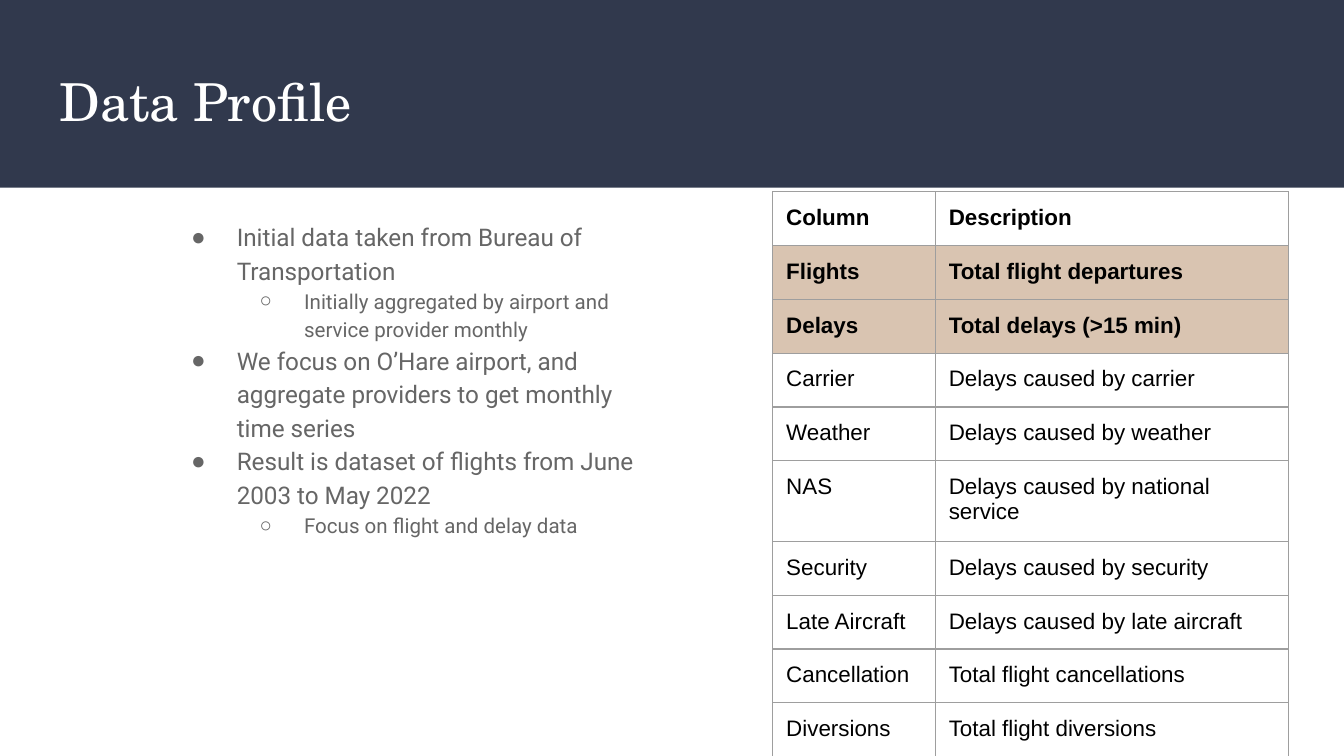
from lxml.etree import SubElement
from pptx import Presentation
from pptx.dml.color import RGBColor
from pptx.enum.shapes import MSO_SHAPE as Shape
from pptx.enum.text import MSO_ANCHOR as Anchor
from pptx.oxml import parse_xml
from pptx.oxml.ns import nsdecls, qn
from pptx.util import Pt

# Content
TITLE = "Data Profile"
BULLETS = [
    (0, "Initial data taken from Bureau of Transportation"),
    (1, "Initially aggregated by airport and service provider monthly"),
    (0, "We focus on O’Hare airport, and aggregate providers to get monthly time series"),
    (0, "Result is dataset of flights from June 2003 to May 2022"),
    (1, "Focus on flight and delay data"),
]
ROWS = [
    ("Column", "Description"),
    ("Flights", "Total flight departures"),
    ("Delays", "Total delays (>15 min)"),
    ("Carrier", "Delays caused by carrier"),
    ("Weather", "Delays caused by weather"),
    ("NAS", "Delays caused by national service"),
    ("Security", "Delays caused by security"),
    ("Late Aircraft", "Delays caused by late aircraft"),
    ("Cancellation", "Total flight cancellations"),
    ("Diversions", "Total flight diversions"),
]
BOLD_ROWS = 3
SHADED_ROWS = (1, 2)

# Style
NAVY, WHITE, GREY, BLACK = "31394D", "FFFFFF", "666666", "000000"
TAN, BORDER = "D9C4B1", "9E9E9E"
LEVELS = [  # bullet, text size, left indent, hanging indent
    ("●", 13, 36, -24.5),
    ("○", 11, 72, -23.8),
]
INSET = 7.2
COLUMN_WIDTHS = (87.1, 189.2)
ROW_HEIGHT = 28
TABLE_HEIGHT = 236  # below the sum of the rows, so that rows fit their text


def color(value):
    return RGBColor.from_string(value)


def add_text(para, text, *, font, size, fill, bold=False):
    span = para.add_run()
    span.text = text
    span.font.name = font
    span.font.size = Pt(size)
    span.font.bold = bold
    span.font.color.rgb = color(fill)


def set_insets(target):
    target.margin_left = target.margin_right = Pt(INSET)
    target.margin_top = target.margin_bottom = Pt(INSET)


def add_box(page, left, top, width, height, anchor):
    box = page.shapes.add_textbox(Pt(left), Pt(top), Pt(width), Pt(height))
    frame = box.text_frame
    frame.word_wrap = True
    frame.vertical_anchor = anchor
    set_insets(frame)
    return frame


def set_bullet(para, mark, left, hanging):
    props = para._p.get_or_add_pPr()
    props.set("marL", str(Pt(left)))
    props.set("indent", str(Pt(hanging)))
    tint = SubElement(props, qn("a:buClr"))
    SubElement(tint, qn("a:srgbClr"), val=GREY)
    SubElement(props, qn("a:buFont"), typeface="Arial")
    SubElement(props, qn("a:buChar"), char=mark)


def set_borders(cell):
    props = cell._tc.get_or_add_tcPr()
    for position, side in enumerate(("lnL", "lnR", "lnT", "lnB")):
        props.insert(position, parse_xml(
            f'<a:{side} {nsdecls("a")} w="{Pt(0.75)}"><a:solidFill>'
            f'<a:srgbClr val="{BORDER}"/></a:solidFill></a:{side}>'))


deck = Presentation()
deck.slide_width, deck.slide_height = Pt(720), Pt(405)
page = deck.slides.add_slide(deck.slide_layouts[6])

# Header band and title
band = page.shapes.add_shape(Shape.RECTANGLE, 0, 0, Pt(720), Pt(100.6))
band.shadow.inherit = False
band.fill.solid()
band.fill.fore_color.rgb = color(NAVY)
band.line.fill.background()
title = add_box(page, 24.8, 29.5, 671, 49, Anchor.MIDDLE)
add_text(title.paragraphs[0], TITLE, font="TeX Gyre Schola", size=28, fill=WHITE)

# Bullet list
body = add_box(page, 83.8, 109.6, 270, 252.7, Anchor.TOP)
for number, (level, text) in enumerate(BULLETS):
    para = body.add_paragraph() if number else body.paragraphs[0]
    mark, size, left, hanging = LEVELS[level]
    para.level = level
    para.line_spacing = 1.15
    set_bullet(para, mark, left, hanging)
    add_text(para, text, font="Roboto", size=size, fill=GREY)

# Column table
holder = page.shapes.add_table(
    len(ROWS), len(COLUMN_WIDTHS), Pt(414), Pt(102.7),
    Pt(sum(COLUMN_WIDTHS)), Pt(TABLE_HEIGHT))
table = holder.table
table.first_row = table.horz_banding = False
for column, width in zip(table.columns, COLUMN_WIDTHS):
    column.width = Pt(width)
for r, texts in enumerate(ROWS):
    table.rows[r].height = Pt(ROW_HEIGHT)
    for c, text in enumerate(texts):
        cell = table.cell(r, c)
        set_insets(cell)
        if r in SHADED_ROWS:
            cell.fill.solid()
            cell.fill.fore_color.rgb = color(TAN)
        else:
            cell.fill.background()
        set_borders(cell)
        add_text(cell.text_frame.paragraphs[0], text, font="Arial", size=12,
                 fill=BLACK, bold=r < BOLD_ROWS)
holder.height = Pt(TABLE_HEIGHT)

deck.save("out.pptx")
